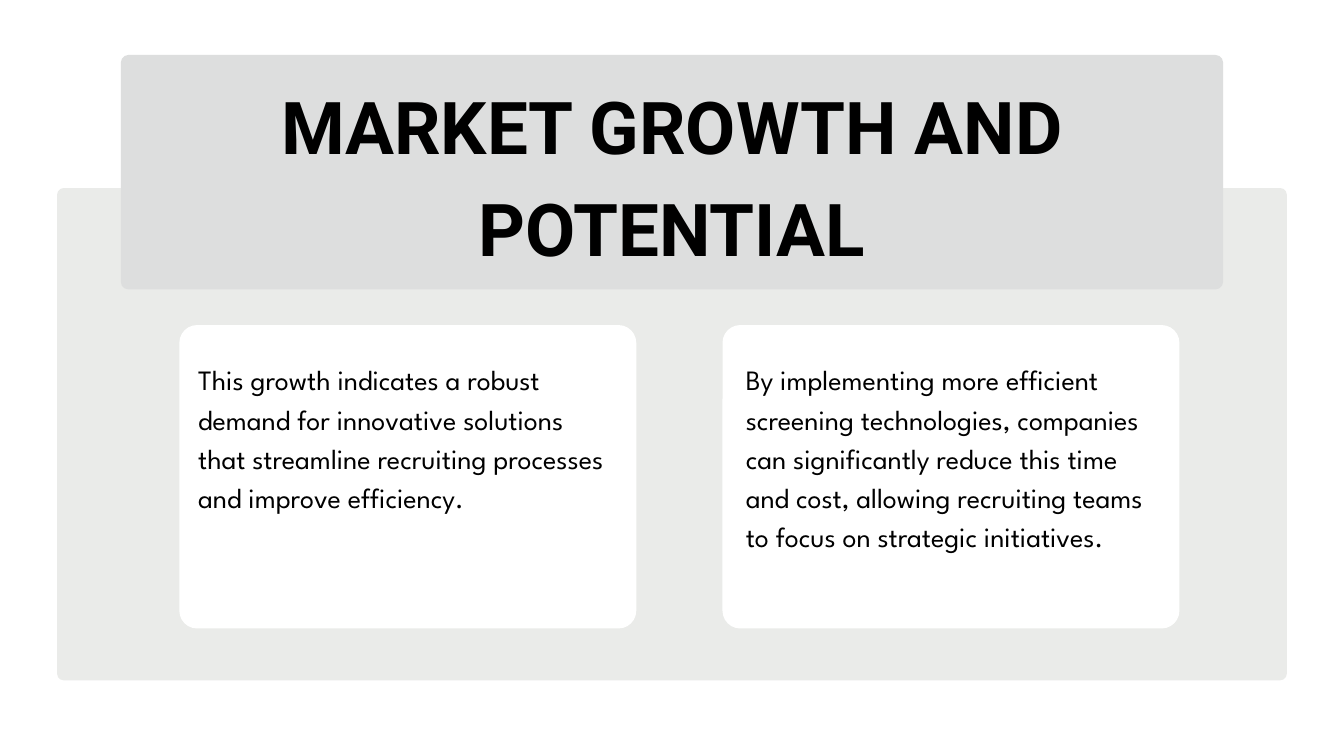
from typing import NamedTuple

from pptx import Presentation
from pptx.dml.color import RGBColor
from pptx.enum.shapes import MSO_SHAPE
from pptx.enum.text import MSO_AUTO_SIZE, PP_ALIGN
from pptx.util import Cm, Pt

ROUNDED = MSO_SHAPE.ROUNDED_RECTANGLE
LEFT, CENTER = PP_ALIGN.LEFT, PP_ALIGN.CENTER
NO_AUTOFIT = MSO_AUTO_SIZE.NONE
BLACK, WHITE = "000000", "FFFFFF"
PANEL_GREY, BANNER_GREY = "EAEBE9", "DDDEDE"


class Box(NamedTuple):
    """Position and size in centimetres."""
    left: float
    top: float
    width: float
    height: float


class TextStyle(NamedTuple):
    font: str
    size: float
    line_spacing: float
    bold: bool
    align: PP_ALIGN


class Card(NamedTuple):
    left: float
    text_left: float
    text_width: float
    message: str


TITLE = TextStyle("Roboto", 78, 109.2, True, CENTER)
BODY = TextStyle("League Spartan", 30, 42, False, LEFT)

PANEL = Box(2.16, 7.11, 46.48, 18.61)
BANNER = Box(4.57, 2.08, 41.66, 8.86)
TITLE_BOX = Box(10.39, 2.54, 30.02, 7.54)
CARD_TOP, CARD_WIDTH, CARD_HEIGHT = 12.29, 17.27, 11.47
MESSAGE_TOP, MESSAGE_HEIGHT = 13.51, 8.84

CARDS = [
    Card(6.78, 7.49, 15.85,
         "This growth indicates a robust demand for innovative solutions that "
         "streamline recruiting processes and improve efficiency."),
    Card(27.31, 28.19, 15.52,
         "By implementing more efficient screening technologies, companies can "
         "significantly reduce this time and cost, allowing recruiting teams to "
         "focus on strategic initiatives."),
]


def color(hex_code: str) -> RGBColor:
    return RGBColor.from_string(hex_code)


def add_rounded(slide, box: Box, fill: str, radius: float) -> None:
    shape = slide.shapes.add_shape(ROUNDED, *map(Cm, box))
    shape.adjustments[0] = radius / min(box.width, box.height)
    shape.shadow.inherit = False
    shape.fill.solid()
    shape.fill.fore_color.rgb = color(fill)
    shape.line.fill.background()


def add_text(slide, box: Box, text: str, style: TextStyle) -> None:
    frame = slide.shapes.add_textbox(*map(Cm, box)).text_frame
    frame.word_wrap = True
    frame.auto_size = NO_AUTOFIT
    frame.margin_left = frame.margin_right = 0
    frame.margin_top = frame.margin_bottom = 0
    paragraph = frame.paragraphs[0]
    paragraph.alignment = style.align
    paragraph.line_spacing = Pt(style.line_spacing)
    run = paragraph.add_run()
    run.text = text
    run.font.name = style.font
    run.font.size = Pt(style.size)
    run.font.bold = style.bold
    run.font.color.rgb = color(BLACK)


def main() -> None:
    deck = Presentation()
    deck.slide_width, deck.slide_height = Cm(50.8), Cm(28.58)
    slide = deck.slides.add_slide(deck.slide_layouts[6])
    slide.background.fill.solid()
    slide.background.fill.fore_color.rgb = color(WHITE)

    add_rounded(slide, PANEL, PANEL_GREY, 0.25)
    add_rounded(slide, BANNER, BANNER_GREY, 0.28)
    add_text(slide, TITLE_BOX, "MARKET GROWTH AND POTENTIAL", TITLE)

    for card in CARDS:
        add_rounded(slide, Box(card.left, CARD_TOP, CARD_WIDTH, CARD_HEIGHT), WHITE, 0.67)
        message_box = Box(card.text_left, MESSAGE_TOP, card.text_width, MESSAGE_HEIGHT)
        add_text(slide, message_box, card.message, BODY)

    deck.save("out.pptx")


if __name__ == "__main__":
    main()
